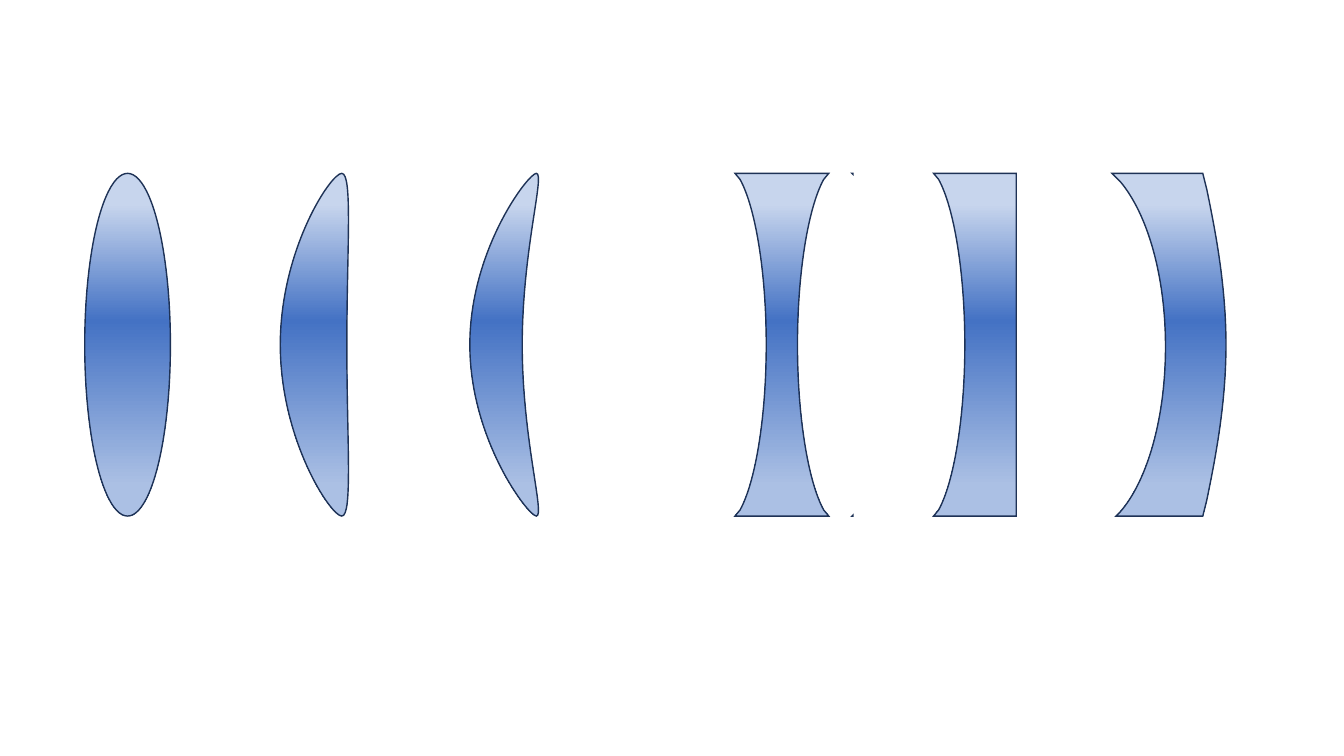
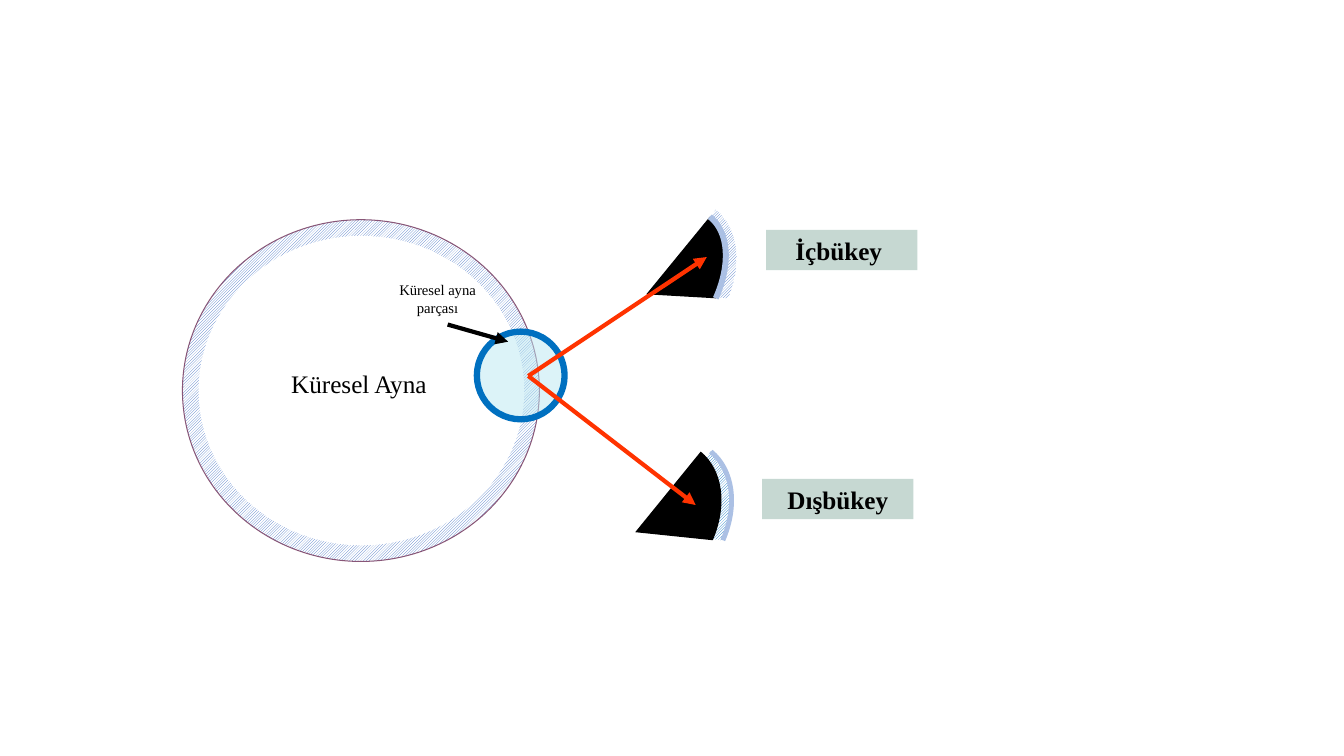
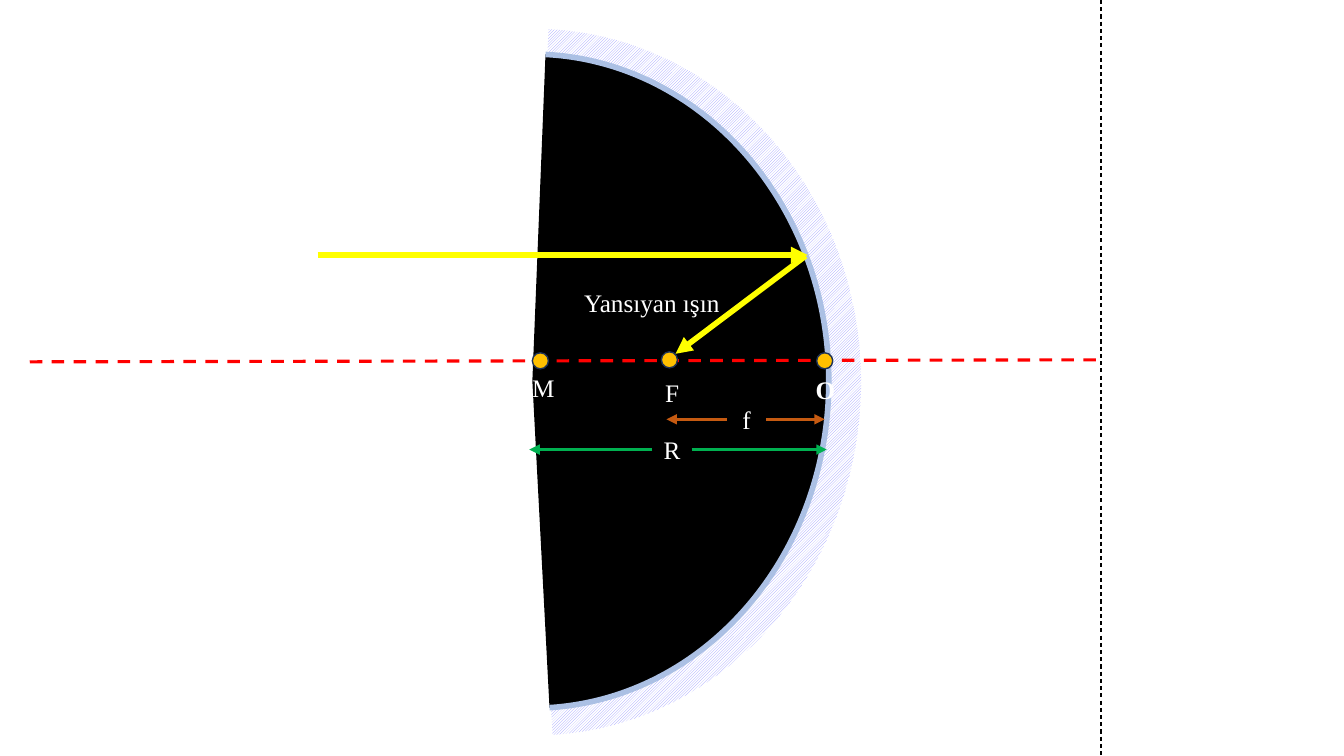
from copy import deepcopy
from math import cos, radians, sin
from pptx import Presentation
from pptx.dml.color import RGBColor
from pptx.enum.dml import MSO_LINE, MSO_PATTERN
from pptx.enum.shapes import MSO_CONNECTOR as LINK, MSO_SHAPE as KIND
from pptx.enum.text import MSO_ANCHOR, PP_ALIGN
from pptx.oxml.ns import qn
from pptx.oxml.xmlchemy import OxmlElement as make
from pptx.util import Inches, Pt

FONT = "Times New Roman"
BLACK, WHITE = "000000", "FFFFFF"
EDGE, RIM, BLUE, RED = "1E3256", "ABC0E4", "4472C4", "FF3300"
GLASS = [(0.09, "C7D5ED"), (0.43, BLUE), (0.91, RIM)]


def rgb(code):
    return RGBColor.from_string(code)


def add(parent, tag, **values):
    child = make(tag)
    for key, value in values.items():
        child.set(key, str(value))
    parent.append(child)
    return child


# Styles
def paint(shape, fill, line=None, width=1):
    shape.shadow.inherit = False
    shape.fill.solid()
    shape.fill.fore_color.rgb = rgb(fill)
    if line:
        shape.line.color.rgb = rgb(line)
        shape.line.width = Pt(width)
    else:
        shape.line.fill.background()
    return shape


def hatch(shape, color):
    shape.fill.patterned()
    shape.fill.pattern = MSO_PATTERN.DARK_UPWARD_DIAGONAL
    shape.fill.fore_color.rgb = rgb(color)
    shape.fill.back_color.rgb = rgb(WHITE)


def glaze(shape):
    paint(shape, WHITE, EDGE)
    shape.fill.gradient()
    shape.fill.gradient_angle = 270
    props = shape._element.spPr
    stops = props.find(".//" + qn("a:gsLst"))
    stops.append(deepcopy(stops[0]))
    for stop, (pos, color) in zip(shape.fill.gradient_stops, GLASS):
        stop.position = pos
        stop.color.rgb = rgb(color)
    add(props.find(qn("a:ln")), "a:miter", lim=800000)


def fade(shape, percent):
    color = shape._element.spPr.find(qn("a:solidFill"))[0]
    add(color, "a:alpha", val=percent * 1000)


# Basic parts
def preset(slide, kind, x, y, w, h):
    return slide.shapes.add_shape(kind, *map(Inches, (x, y, w, h)))


def pairs(steps):
    """Flat steps as points: one point is a corner, three are a Bezier curve."""
    return [list(zip(step[::2], step[1::2])) for step in steps]


def sketch(slide, box, x, y, layers, turn=0):
    """Outline in a turned box; its points are measured from x, y unturned."""
    left, top, w, h = box
    draft = slide.shapes.build_freeform(Inches(left), Inches(top), scale=1.0)
    draft.add_line_segments([(Inches(left + a), Inches(top + b))
                             for a, b in ((w, 0), (w, h), (0, h))])
    shape = draft.convert_to_shape()
    shape.rotation = turn
    tilt = radians(turn)

    def place(parent, point):
        dx, dy = x + point[0] - left - w / 2, y + point[1] - top - h / 2
        add(parent, "a:pt", x=Inches(w / 2 + dx * cos(tilt) + dy * sin(tilt)),
            y=Inches(h / 2 + dy * cos(tilt) - dx * sin(tilt)))

    tracks = shape._element.spPr.find(".//" + qn("a:pathLst"))
    tracks.remove(tracks[0])
    for loops, closed, flags in layers:
        track = add(tracks, "a:path", w=Inches(w), h=Inches(h), **flags)
        for loop in loops:
            place(add(track, "a:moveTo"), loop[0][0])
            for step in loop[1:]:
                part = add(track, "a:lnTo" if len(step) == 1 else "a:cubicBezTo")
                for point in step:
                    place(part, point)
            if closed:
                add(track, "a:close")
    return shape


def stroke(slide, start, end, color, width, arrow=True):
    link = slide.shapes.add_connector(LINK.STRAIGHT, *map(Inches, start + end))
    link.line.color.rgb = rgb(color)
    link.line.width = Pt(width)
    props = link._element.spPr
    if arrow:
        add(props.find(qn("a:ln")), "a:tailEnd", type="triangle")
    else:
        link.line.dash_style = MSO_LINE.DASH
    add(props, "a:effectLst")


def write(shape, text, size=18, color=BLACK, bold=False):
    frame = shape.text_frame
    frame.word_wrap = True
    para = frame.paragraphs[0]
    para.text = text
    para.alignment = PP_ALIGN.CENTER
    font = para.runs[0].font
    font.name, font.size, font.bold = FONT, Pt(size), bold
    font.color.rgb = rgb(color)


def label(slide, text, x, y, w, h=0.4, **style):
    box = slide.shapes.add_textbox(*map(Inches, (x, y, w, h)))
    box.text_frame.vertical_anchor = MSO_ANCHOR.TOP
    write(box, text, **style)


def wedge(slide, box, turn, x, y, arc, apex, fill=BLACK, grid=None, rim=None, width=1):
    """Mirror sector, stroked along its arc only."""
    rows = pairs(arc)
    layers = [([rows], False, {"fill": "none"}),
              ([rows + [[apex]]], True, {"stroke": 0})]
    body = paint(sketch(slide, box, x, y, layers, turn), fill, rim, width)
    if grid:
        hatch(body, grid)


# Slide 1: lenses
TALL = 3.4
HOLLOW = [(0, 0), (0.05, 0.06), (0.2, 0.33, 0.31, 0.97, 0.31, 1.7)]
BOWL = [(0, 0), (0.08, 0.08), (0.35, 0.4, 0.53, 1.01, 0.53, 1.72)]
FOOT = [(0.04, 0), (0.08, 0.04), (0.35, 0.35, 0.53, 0.97, 0.53, 1.68)]
BULGE = [(0.9, 0), (0.94, 0.16), (1.02, 0.55, 1.13, 1.1, 1.13, 1.7)]
CHIPS = [pairs([(1.16, y), (1.17, y), (1.17, tip)])
         for y, tip in ((TALL, TALL - 0.01), (0, 0.01))]
# Offset, width, top halves of the left and right faces, left foot, extra loops
LENSES = [
    (1.94, 0.68, [(0.61, 0), (0.5, 0, 0, 0.76, 0, 1.7)],
     [(0.61, 0), (0.72, 0, 0.66, 0.76, 0.66, 1.7)], None, []),
    (3.82, 0.68, [(0.66, 0), (0.58, 0, 0, 0.76, 0, 1.7)],
     [(0.66, 0), (0.75, 0, 0.52, 0.76, 0.52, 1.7)], None, []),
    (10.19, 1.13, BOWL, BULGE, FOOT, []),
    (6.45, 1.17, HOLLOW,
     [(0.93, 0), (0.88, 0.06), (0.73, 0.33, 0.62, 0.97, 0.62, 1.7)], None, CHIPS),
    (8.42, 0.83, HOLLOW, [(0.82, 0)], None, []),
]


def back(rows):
    """The same line run from its end to its start."""
    line = [[rows[-1][-1]]]
    for prior, row in reversed(list(zip(rows, rows[1:]))):
        line.append(row[:-1][::-1] + [prior[-1]])
    return line


def join(first, second):
    gap = max(abs(a - b) for a, b in zip(first[-1][-1], second[0][0]))
    return first + (second if gap > 0.001 else second[1:])


def face(top, foot=None):
    low = [[(a, TALL - b) for a, b in row] for row in pairs(foot or top)]
    return join(pairs(top), back(low))


def lenses(slide, x, y):
    glaze(preset(slide, KIND.OVAL, x, y, 0.85, TALL))
    for shift, wide, left, right, foot, extra in LENSES:
        loop = join(face(left, foot), back(face(right)))
        glaze(sketch(slide, (x + shift, y, wide, TALL), x + shift, y,
                     [(extra + [loop], True, {})]))


# Slide 2: pieces of a spherical mirror
TILT = 39.1
CAP = [(0, 0), (0.22, 0.18, 0.27, 0.53, 0.12, 0.88)]
INNER = [(0, 0), (0.19, 0.15, 0.21, 0.47, 0.06, 0.81)]


def cap(slide, x, y, **style):
    wedge(slide, (x - 0.39, y + 0.09, 0.65, 1.02), TILT, x, y,
          CAP, (-0.65, 0.8), **style)


def concave(slide, x, y):
    cap(slide, x, y, grid=BLUE)
    wedge(slide, (x - 0.44, y + 0.14, 0.56, 0.99), TILT, x - 0.06, y + 0.07,
          INNER, (-0.63, 0.77), rim=RIM, width=4.25)


def convex(slide, x, y):
    cap(slide, x, y, grid="0070C0", rim=RIM, width=3.5)
    cap(slide, x - 0.1, y)


def sphere(slide, x, y):
    ring = paint(preset(slide, KIND.OVAL, x, y, 3.54, 3.39), WHITE, "885677", 0.75)
    hatch(ring, BLUE)
    paint(preset(slide, KIND.OVAL, x + 0.16, y + 0.16, 3.23, 3.07), WHITE)
    spot = preset(slide, KIND.OVAL, x + 2.92, y + 1.11, 0.87, 0.87)
    fade(paint(spot, "BCE8F2", "0070C0", 4.5), 51)


def notes(slide, x, y):
    stroke(slide, (x + 2.63, y + 1.04), (x + 3.23, y + 1.21), BLACK, 3)
    label(slide, "Küresel Ayna", x + 0.86, y + 1.43, 1.78)
    label(slide, "Küresel ayna parçası", x + 2.02, y + 0.56, 1.02, 0.47, size=10.5)


def pieces(slide):
    concave(slide, 7.1, 2.08)
    sphere(slide, 1.81, 2.18)
    convex(slide, 7.05, 4.48)
    for end, name, x, y in (((6.9, 5.01), "Dışbükey", 7.56, 4.75),
                            ((7.01, 2.55), "İçbükey ", 7.6, 2.28)):
        stroke(slide, (5.24, 3.73), end, RED, 3)
        tag = paint(preset(slide, KIND.RECTANGLE, x, y, 1.5, 0.4), "C6D8D2")
        write(tag, name, bold=True)
    for start, end in (((6.31, 1.92), (6.9, 2.08)), ((7.85, 4.32), (7.26, 4.48))):
        stroke(slide, start, end, WHITE, 3)
    notes(slide, 1.81, 2.18)


# Slide 3: ray reflected through the focus
def mirror(slide, x, y):
    outer = [(0, 0), (1.73, 0.08, 3.1, 1.62, 3.1, 3.5),
             (3.1, 5.36, 1.76, 6.9, 0.04, 7)]
    inner = [(0, 0), (1.57, 0.08, 2.81, 1.51, 2.81, 3.24),
             (2.81, 4.96, 1.6, 6.38, 0.04, 6.48)]
    wedge(slide, (x - 2.03, y + 1.87, 7.01, 3.25), 90, x, y,
          outer, (-0.15, 3.5), grid="9999FF")
    wedge(slide, (x - 1.93, y + 2.02, 6.48, 2.94), 90, x - 0.03, y + 0.25,
          inner, (-0.13, 3.24), rim=RIM, width=4)


def axis(slide, x, y):
    stroke(slide, (x + 10.67, y), (x + 0.01, y + 0.02), "FF0000", 2.25, arrow=False)
    stroke(slide, (x + 10.72, 0), (x + 10.72, 7.5), BLACK, 0.75, arrow=False)
    for dx, dy in ((6.36, -0.08), (5.08, -0.07), (7.9, -0.07)):
        dot = preset(slide, KIND.FLOWCHART_CONNECTOR, x + dx, y + dy, 0.16, 0.16)
        paint(dot, "FFC000", EDGE)
    for name, dx, dy in (("O", 7.79, 0.09), ("F", 6.27, 0.12), ("M", 4.98, 0.07)):
        label(slide, name, x + dx, y + dy, 0.39, color=WHITE, bold=name == "O")


def span(slide, name, x, y, left, right, color):
    """Letter with an arrow running out on each side."""
    label(slide, name, x, y, 0.39, color=WHITE)
    for start, end in ((x, left), (x + 0.39, right)):
        stroke(slide, (start, y + 0.2), (end, y + 0.2), color, 2.5)


def rays(slide, x, y):
    label(slide, "Yansıyan ışın", x + 2.31, y + 0.27, 2.01, color=WHITE)
    stroke(slide, (x, y), (x + 4.86, y), "FFFF00", 4)
    stroke(slide, (x + 4.84, y + 0.01), (x + 3.55, y + 0.98), "FFFF00", 4)


def focus(slide):
    mirror(slide, 5.44, 0.29)
    axis(slide, 0.2, 3.57)
    span(slide, "R", 6.47, 4.26, 5.25, 8.2, "00B050")
    span(slide, "f", 7.21, 3.96, 6.61, 8.18, "C55A11")
    rays(slide, 3.15, 2.53)


def main():
    deck = Presentation()
    deck.slide_width, deck.slide_height = Inches(13.33), Inches(7.5)
    first, second, third = [deck.slides.add_slide(deck.slide_layouts[6])
                            for _ in range(3)]
    lenses(first, 0.84, 1.72)
    pieces(second)
    focus(third)
    deck.save("out.pptx")


if __name__ == "__main__":
    main()
